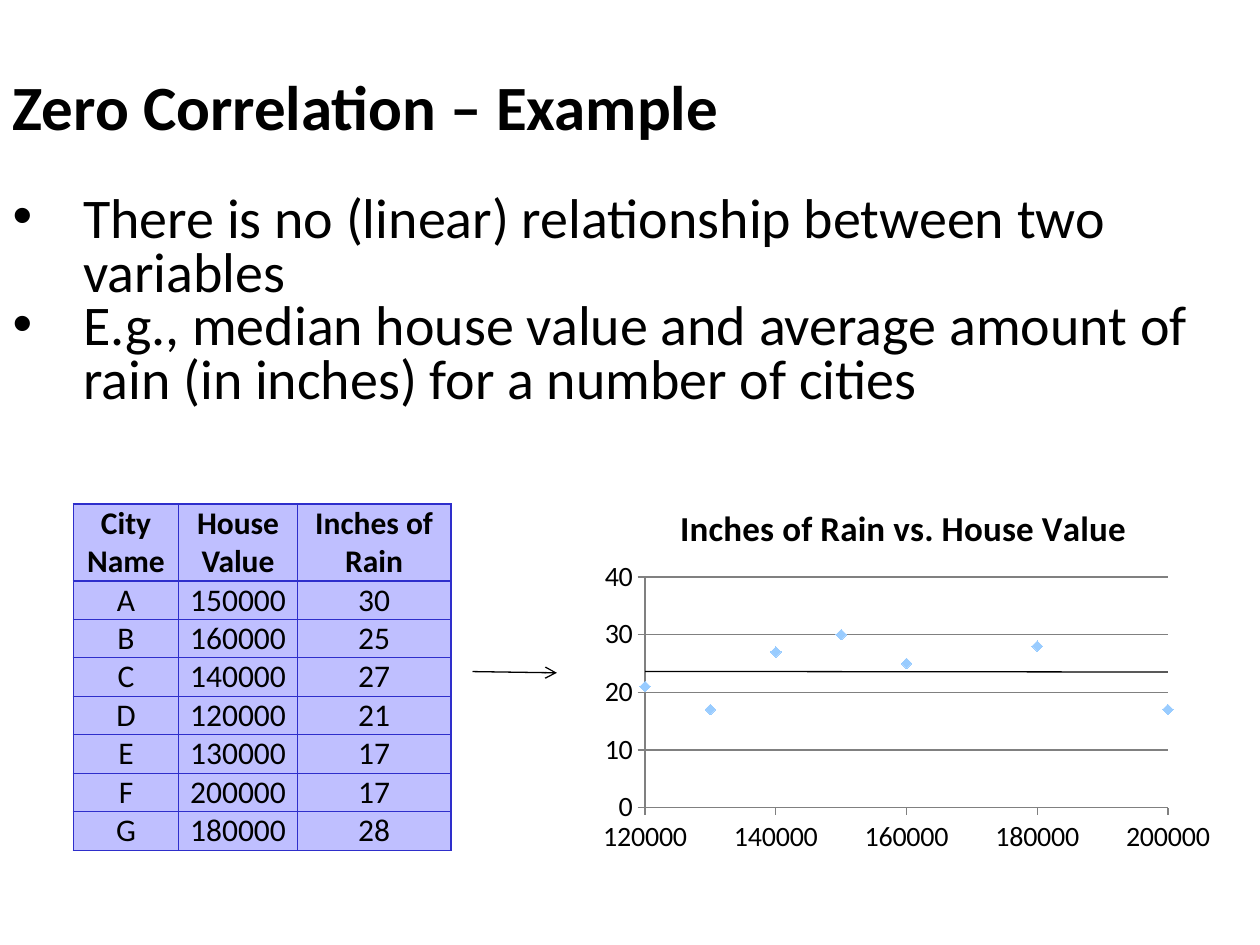
from lxml import etree
from pptx import Presentation
from pptx.chart.data import XyChartData
from pptx.dml.color import RGBColor
from pptx.enum.chart import XL_CHART_TYPE, XL_MARKER_STYLE, XL_TICK_MARK
from pptx.enum.shapes import MSO_CONNECTOR
from pptx.enum.text import MSO_ANCHOR, MSO_AUTO_SIZE, PP_ALIGN
from pptx.oxml import parse_xml
from pptx.oxml.ns import nsdecls, qn
from pptx.util import Inches, Pt

SCATTER = XL_CHART_TYPE.XY_SCATTER
DIAMOND = XL_MARKER_STYLE.DIAMOND
OUTSIDE = XL_TICK_MARK.OUTSIDE
STRAIGHT = MSO_CONNECTOR.STRAIGHT
TOP, MIDDLE, BOTTOM = MSO_ANCHOR.TOP, MSO_ANCHOR.MIDDLE, MSO_ANCHOR.BOTTOM
FIXED = MSO_AUTO_SIZE.NONE
LEFT, CENTER = PP_ALIGN.LEFT, PP_ALIGN.CENTER

COLORS = {
    "text": "000000",
    "cell": "BFBFFF",
    "border": "2E2ECB",
    "grid": "808080",
    "marker": "99CCFF",
}
HEAD = ("City Name", "House Value", "Inches of Rain")
CITIES = (
    ("A", 150000, 30),
    ("B", 160000, 25),
    ("C", 140000, 27),
    ("D", 120000, 21),
    ("E", 130000, 17),
    ("F", 200000, 17),
    ("G", 180000, 28),
)
POINTS = (
    "There is no (linear) relationship between two variables",
    "E.g., median house value and average amount of rain (in inches) "
    "for a number of cities",
)


def rgb(name):
    return RGBColor.from_string(COLORS[name])


class Deck:
    face = "Calibri"
    thin = Pt(0.75)

    def __init__(self, slide):
        self.slide = slide

    def style(self, font, size, bold=False):
        font.name, font.size, font.bold = self.face, Pt(size), bold
        font.color.rgb = rgb("text")

    def text(self, para, words, size, bold=False, align=LEFT):
        para.alignment = align
        run = para.add_run()
        run.text = words
        self.style(run.font, size, bold)

    def place(self, holder, box, anchor):
        holder.left, holder.top, holder.width, holder.height = map(Inches, box)
        frame = holder.text_frame
        frame.auto_size = FIXED
        frame.word_wrap = True
        frame.vertical_anchor = anchor
        return frame

    def title(self, words, box):
        frame = self.place(self.slide.shapes.title, box, MIDDLE)
        self.text(frame.paragraphs[0], words, 36, True)

    def bullets(self, items, box):
        frame = self.place(self.slide.placeholders[1], box, TOP)
        for i, item in enumerate(items):
            para = frame.add_paragraph() if i else frame.paragraphs[0]
            para.line_spacing = 0.8
            para.space_before = Pt(0)
            props = para._p.get_or_add_pPr()
            props.set("marL", str(Inches(0.56)))
            props.set("indent", str(-Inches(0.56)))
            self.text(para, item, 32)

    def arrow(self, start, end):
        link = self.slide.shapes.add_connector(
            STRAIGHT, *map(Inches, start + end))
        link.line.color.rgb = rgb("text")
        link.line.width = self.thin
        props = link._element.spPr
        etree.SubElement(props.find(qn("a:ln")), qn("a:tailEnd"), type="arrow")
        etree.SubElement(props, qn("a:effectLst"))

    def cell(self, cell, words, bold):
        cell.margin_left = cell.margin_right = 0
        cell.margin_top = cell.margin_bottom = 0
        cell.vertical_anchor = BOTTOM
        self.text(cell.text_frame.paragraphs[0], words, 18, bold, CENTER)
        props = cell._tc.get_or_add_tcPr()
        for side in ("lnL", "lnR", "lnT", "lnB"):
            props.append(parse_xml(
                f'<a:{side} {nsdecls("a")} w="{self.thin}"><a:solidFill>'
                f'<a:srgbClr val="{COLORS["border"]}"/></a:solidFill></a:{side}>'))
        cell.fill.solid()
        cell.fill.fore_color.rgb = rgb("cell")

    def table(self, rows, widths, box):
        table = self.slide.shapes.add_table(
            len(rows), len(widths), *map(Inches, box)).table
        table.first_row = table.horz_banding = False
        for col, width in zip(table.columns, widths):
            col.width = Inches(width)
        for i, row in enumerate(rows):
            table.rows[i].height = Inches(0.3 if i else 0.6)
            for j, value in enumerate(row):
                self.cell(table.cell(i, j), str(value), i == 0)

    def axis(self, axis, low, high, step, grid):
        axis.minimum_scale, axis.maximum_scale = low, high
        axis.major_unit = step
        axis.major_tick_mark = OUTSIDE
        axis.has_major_gridlines = grid
        self.style(axis.tick_labels.font, 16)
        lines = [axis.format.line]
        if grid:
            lines.append(axis.major_gridlines.format.line)
        for line in lines:
            line.color.rgb = rgb("grid")
            line.width = self.thin

    def trend(self, series):
        series._element.find(qn("c:xVal")).addprevious(parse_xml(
            f'<c:trendline {nsdecls("c", "a")}><c:spPr><a:ln w="{self.thin}">'
            f'<a:solidFill><a:srgbClr val="{COLORS["text"]}"/></a:solidFill>'
            '</a:ln></c:spPr><c:trendlineType val="linear"/>'
            '<c:dispRSqr val="0"/><c:dispEq val="0"/></c:trendline>'))

    def layout(self, chart, *sizes):
        """Fix the inner plot area, in shares of the chart."""
        area = chart._chartSpace.find(".//" + qn("c:plotArea"))
        for old in area.findall(qn("c:layout")):
            area.remove(old)
        parts = "".join(f'<c:{tag} val="{size}"/>'
                        for tag, size in zip("xywh", sizes))
        area.insert(0, parse_xml(
            f'<c:layout {nsdecls("c")}><c:manualLayout>'
            '<c:layoutTarget val="inner"/><c:xMode val="edge"/>'
            f'<c:yMode val="edge"/>{parts}</c:manualLayout></c:layout>'))

    def chart(self, title, pairs, box):
        data = XyChartData()
        points = data.add_series("Series 1")
        for x, y in pairs:
            points.add_data_point(x, y)
        chart = self.slide.shapes.add_chart(
            SCATTER, *map(Inches, box), data).chart
        self.style(chart.font, 16)
        chart.has_legend = False
        chart.has_title = True
        self.text(chart.chart_title.text_frame.paragraphs[0],
                  title, 20, True, CENTER)
        self.axis(chart.category_axis, 120000, 200000, 20000, False)
        self.axis(chart.value_axis, 0, 40, 10, True)
        plot = chart.plots[0]
        plot.vary_by_categories = False
        series = plot.series[0]
        series.format.line.fill.background()
        mark = series.marker
        mark.style, mark.size = DIAMOND, 6
        mark.format.fill.solid()
        mark.format.fill.fore_color.rgb = rgb("marker")
        mark.format.line.color.rgb = rgb("marker")
        self.trend(series)
        self.layout(chart, 0.09, 0.25, 0.83, 0.61)


def main():
    show = Presentation()
    show.slide_width, show.slide_height = Inches(10), Inches(7.5)
    deck = Deck(show.slides.add_slide(show.slide_layouts[1]))
    deck.title("Zero Correlation – Example", (0, 0.42, 9.5, 0.83))
    deck.bullets(POINTS, (0, 1.5, 10, 2.08))
    deck.arrow((3.75, 5.33), (4.42, 5.34))
    deck.table((HEAD,) + CITIES, (0.84, 0.94, 1.22), (0.58, 4, 3, 2.7))
    deck.chart("Inches of Rain vs. House Value",
               [row[1:] for row in CITIES], (4.67, 3.83, 5, 3))
    show.save("out.pptx")


if __name__ == "__main__":
    main()
